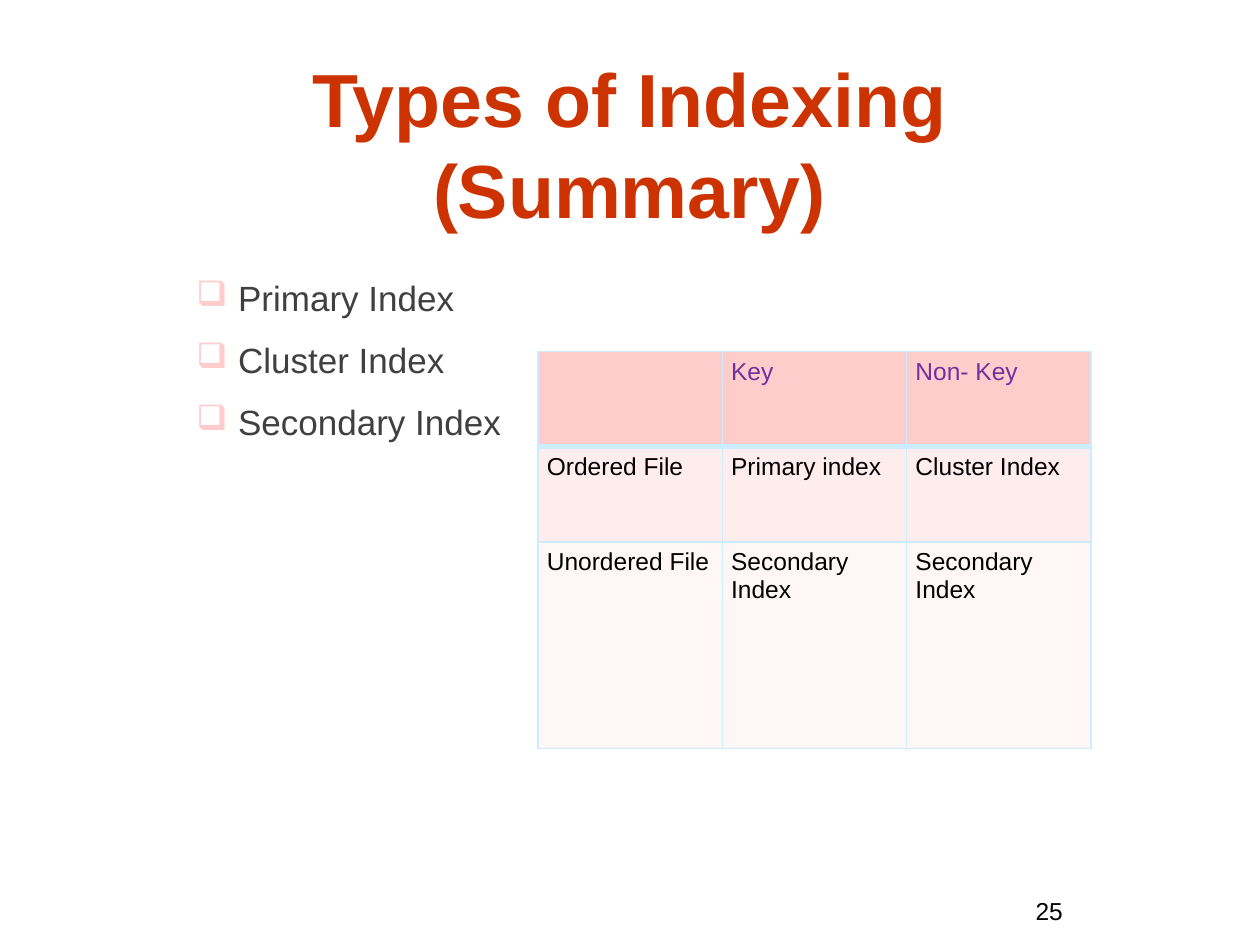
from lxml import etree
from pptx import Presentation
from pptx.dml.color import RGBColor
from pptx.enum.text import MSO_ANCHOR, PP_ALIGN
from pptx.oxml.ns import qn
from pptx.util import Inches, Pt

CENTER = PP_ALIGN.CENTER
BOTTOM = MSO_ANCHOR.BOTTOM
TITLE_ONLY = 5
FONT = "Arial"
COLORS = {
    "title": "CC3300",
    "body": "404040",
    "ink": "000000",
    "heading": "7030A0",
    "bullet": "FFCCCC",
    "border": "CCECFF",
}
ROW_FILLS = ["FFCCCC", "FFECEC", "FFF6F6"]
INDEX_TYPES = ["Primary Index", "Cluster Index", "Secondary Index"]
INDEX_TABLE = [
    ["", "Key", "Non- Key"],
    ["Ordered File", "Primary index", "Cluster Index"],
    ["Unordered File", "Secondary Index", "Secondary Index"],
]
ROW_SHARES = [0.24, 0.24, 0.52]

SLIDE_WIDTH, SLIDE_HEIGHT = Inches(10), Inches(7.5)
COLUMN, ROW = SLIDE_WIDTH // 100, SLIDE_HEIGHT // 75


def grid_box(left, top, width, height):
    return int(left * COLUMN), int(top * ROW), int(width * COLUMN), int(height * ROW)


def add_span(para, text, size, color, bold=False):
    span = para.add_run()
    span.text = text
    span.font.name = FONT
    span.font.size = Pt(size)
    span.font.bold = bold
    span.font.color.rgb = RGBColor.from_string(COLORS[color])


def add_bullet(para, indent):
    properties = para._p.get_or_add_pPr()
    properties.set("marL", str(indent))
    properties.set("indent", str(-indent))
    bullet_color = etree.SubElement(properties, qn("a:buClr"))
    etree.SubElement(bullet_color, qn("a:srgbClr"), val=COLORS["bullet"])
    etree.SubElement(properties, qn("a:buChar"), char="❑")


def set_borders(cell, bottom_width):
    properties = cell._tc.get_or_add_tcPr()
    widths = {"lnL": 1, "lnR": 1, "lnT": 1, "lnB": bottom_width}
    for side, width in widths.items():
        line = etree.SubElement(properties, qn(f"a:{side}"), w=str(Pt(width)))
        fill = etree.SubElement(line, qn("a:solidFill"))
        etree.SubElement(fill, qn("a:srgbClr"), val=COLORS["border"])


def place_title(page, box):
    title = page.shapes.title
    title.left, title.top, title.width, title.height = box
    frame = title.text_frame
    frame.word_wrap = True
    frame.vertical_anchor = BOTTOM
    para = frame.paragraphs[0]
    para.alignment = CENTER
    add_span(para, "Types of Indexing (Summary)", 43, "title", bold=True)


def place_index_list(page, box):
    frame = page.shapes.add_textbox(*box).text_frame
    frame.word_wrap = True
    frame.margin_left = frame.margin_right = 0
    for number, name in enumerate(INDEX_TYPES):
        para = frame.add_paragraph() if number else frame.paragraphs[0]
        add_bullet(para, int(3.3 * COLUMN))
        para.line_spacing = 0.9
        para.space_before = Pt(12 if number else 0)
        para.space_after = Pt(2)
        add_span(para, name, 20, "body")


def place_index_table(page, box):
    height = box[3]
    table = page.shapes.add_table(len(INDEX_TABLE), len(INDEX_TABLE[0]), *box).table
    table.first_row = table.horz_banding = False
    for row_number, texts in enumerate(INDEX_TABLE):
        table.rows[row_number].height = int(height * ROW_SHARES[row_number])
        is_header = row_number == 0
        for column_number, text in enumerate(texts):
            cell = table.cell(row_number, column_number)
            cell.margin_left = cell.margin_right = Inches(0.07)
            set_borders(cell, 3 if is_header else 1)
            cell.fill.solid()
            cell.fill.fore_color.rgb = RGBColor.from_string(ROW_FILLS[row_number])
            if text:
                color = "heading" if is_header else "ink"
                add_span(cell.text_frame.paragraphs[0], text, 14, color)


def place_page_number(page, box):
    frame = page.shapes.add_textbox(*box).text_frame
    frame.word_wrap = True
    add_span(frame.paragraphs[0], "25", 14, "ink")


def main():
    deck = Presentation()
    deck.slide_width, deck.slide_height = SLIDE_WIDTH, SLIDE_HEIGHT
    page = deck.slides.add_slide(deck.slide_layouts[TITLE_ONLY])
    place_title(page, grid_box(8.7, 3.1, 82.5, 15.9))
    place_page_number(page, grid_box(81.2, 70.6, 10.8, 4))
    place_index_table(page, grid_box(42.7, 27.9, 43.9, 31.5))
    place_index_list(page, grid_box(15.6, 21.8, 28.7, 41.1))
    deck.save("out.pptx")


if __name__ == "__main__":
    main()
